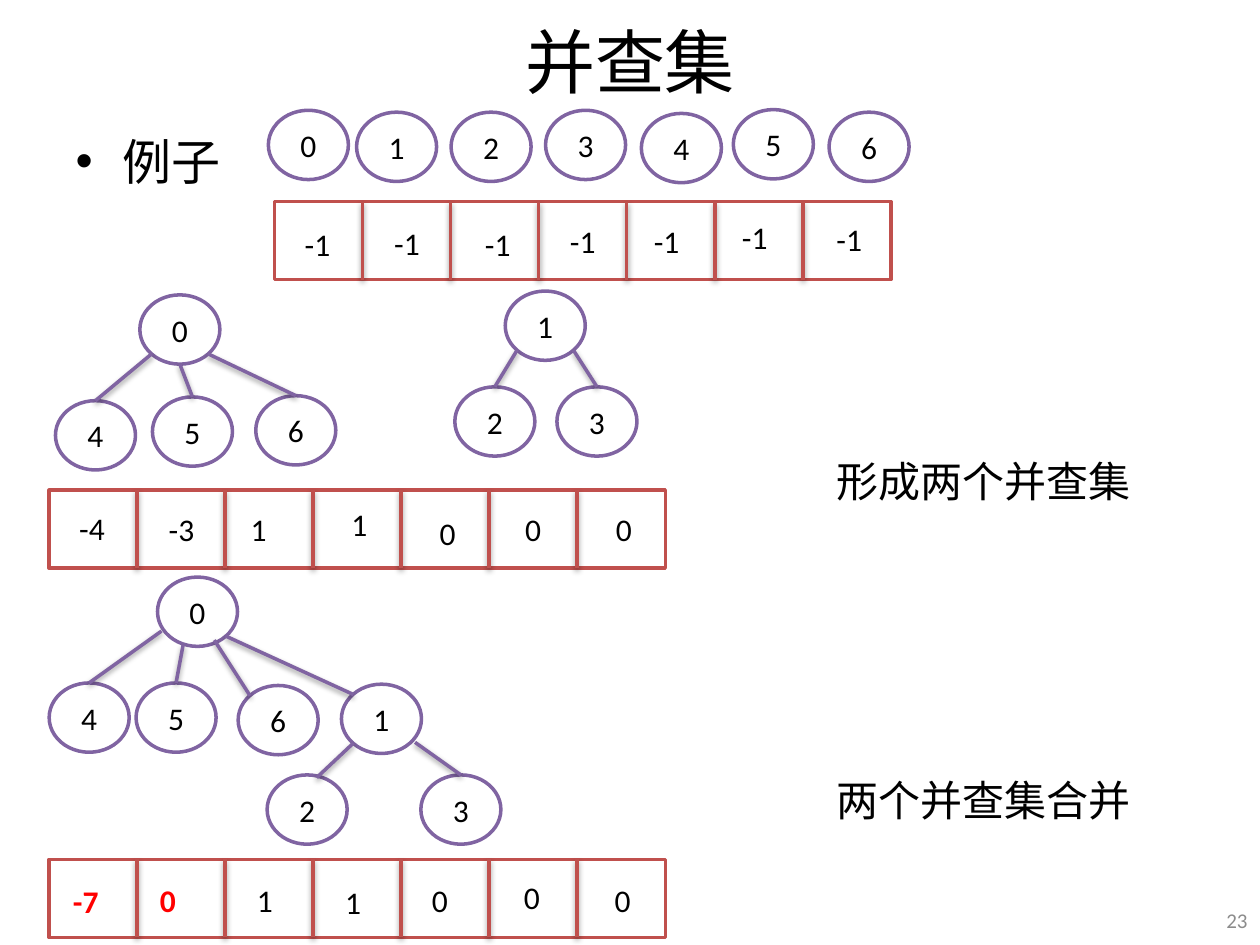
from pptx import Presentation
from pptx.dml.color import RGBColor
from pptx.enum.shapes import MSO_CONNECTOR, MSO_SHAPE
from pptx.enum.text import MSO_ANCHOR, PP_ALIGN
from pptx.util import Inches, Pt

OVAL, RECT = MSO_SHAPE.OVAL, MSO_SHAPE.RECTANGLE
STRAIGHT = MSO_CONNECTOR.STRAIGHT
MIDDLE = MSO_ANCHOR.MIDDLE
LEFT, CENTER, RIGHT = PP_ALIGN.LEFT, PP_ALIGN.CENTER, PP_ALIGN.RIGHT

COLORS = {"text": "000000", "node": "8064A2", "array": "C0504D",
          "paper": "FFFFFF", "changed": "FF0000", "number": "8C8C8C"}
FONT = "Calibri"

# The slide is a grid of 100 columns by 75 rows
COLUMNS, ROWS = 100, 75
NODE_W, NODE_H = 6.35, 5.5
ARRAY_W, ARRAY_H, CELLS = 48.9, 6.2, 7

# Spots on a node, as shares of its width and height
TOP, BOTTOM = (0.5, 0), (0.5, 1)
UPPER_LEFT, LOWER_LEFT, LOWER_RIGHT = (0.15, 0.15), (0.15, 0.85), (0.85, 0.85)


class ForestSlide:
    def __init__(self, prs):
        self.slide = prs.slides.add_slide(prs.slide_layouts[1])
        self.column = prs.slide_width / COLUMNS
        self.row = prs.slide_height / ROWS

    def place(self, x, y):
        return round(x * self.column), round(y * self.row)

    def box(self, x, y, w, h):
        return *self.place(x, y), *self.place(w, h)

    def set_text(self, shape, text, size=18, color="text", align=LEFT, bold=None):
        paragraph = shape.text_frame.paragraphs[0]
        paragraph.text = text
        paragraph.alignment = align
        font = paragraph.runs[0].font
        font.name, font.size, font.bold = FONT, Pt(size), bold
        font.color.rgb = RGBColor.from_string(COLORS[color])

    def placeholder(self, index, text, area, size, align):
        holder = self.slide.placeholders[index]
        holder.left, holder.top, holder.width, holder.height = self.box(*area)
        self.set_text(holder, text, size, align=align)

    def label(self, text, area, wrap=False, **style):
        label = self.slide.shapes.add_textbox(*self.box(*area))
        label.text_frame.word_wrap = wrap
        self.set_text(label, text, **style)
        return label

    def outline(self, kind, area, color, text):
        shape = self.slide.shapes.add_shape(kind, *self.box(*area))
        shape.shadow.inherit = False
        shape.fill.solid()
        shape.fill.fore_color.rgb = RGBColor.from_string(COLORS["paper"])
        shape.line.color.rgb = RGBColor.from_string(COLORS[color])
        shape.line.width = Pt(2)
        shape.text_frame.vertical_anchor = MIDDLE
        if text:
            self.set_text(shape, text, align=CENTER)
        return shape

    def line(self, start, end, color):
        # Lines keep the soft shadow of the theme
        line = self.slide.shapes.add_connector(
            STRAIGHT, *self.place(*start), *self.place(*end))
        line.line.color.rgb = RGBColor.from_string(COLORS[color])
        line.line.width = Pt(2)
        return line

    def forest(self, nodes, edges=()):
        """nodes: {name: (x, y)}; edges: (parent, spot, child, spot)."""
        ovals = {name: self.outline(OVAL, (*at, NODE_W, NODE_H), "node", name)
                 for name, at in nodes.items()}

        def spot_on(name, spot):
            x, y = nodes[name]
            return x + spot[0] * NODE_W, y + spot[1] * NODE_H

        for parent, leaving, child, arriving in edges:
            edge = self.line(spot_on(parent, leaving), spot_on(child, arriving), "node")
            if arriving == TOP:
                edge.end_connect(ovals[child], 0)

    def array(self, x, y, values, middle="", changed=0):
        """values: (text, x offset, y offset); the first `changed` are marked."""
        self.outline(RECT, (x, y, ARRAY_W, ARRAY_H), "array", middle)
        for cell in range(1, CELLS):
            edge = x + cell * ARRAY_W / CELLS
            self.line((edge, y), (edge, y + ARRAY_H), "array")
        for index, (text, dx, dy) in enumerate(values):
            style = {"color": "changed", "bold": True} if index < changed else {}
            self.label(text, (x + dx, y + dy, 2.5 + 0.8 * len(text), 4), **style)


def main():
    prs = Presentation()
    prs.slide_width, prs.slide_height = Inches(10), Inches(7.5)
    page = ForestSlide(prs)

    # Heading and page number
    page.placeholder(0, "并查集", (5, -0.3, 90, 10.2), 40, CENTER)
    page.placeholder(1, "例子", (5, 9.9, 44.2, 63.8), 28, LEFT)
    number = page.label("23", (95.7, 71, 4.3, 4), wrap=True,
                        size=12, color="number", align=RIGHT)
    number.text_frame.vertical_anchor = MIDDLE

    # Seven separate nodes
    page.forest({"0": (21.3, 8.75), "1": (28.3, 8.9), "2": (35.8, 8.9),
                 "3": (43.3, 8.75), "4": (50.9, 9), "5": (58.2, 8.7),
                 "6": (65.8, 8.9)})
    page.array(21.8, 16, [("-1", 1.4, 1.4), ("-1", 8.5, 1.3), ("-1", 15.7, 1.4),
                          ("-1", 29.1, 1.1), ("-1", 36.1, 0.8), ("-1", 43.6, 1)],
               middle="-1")

    # Two sets
    page.forest({"0": (11.1, 23.4), "4": (4.4, 31.8), "5": (12.1, 31.5),
                 "6": (20.3, 31.4), "1": (40.1, 23.1), "2": (36.1, 30.7),
                 "3": (44.2, 30.7)},
                [("0", LOWER_LEFT, "4", TOP), ("0", BOTTOM, "5", TOP),
                 ("0", LOWER_RIGHT, "6", TOP), ("1", LOWER_LEFT, "2", TOP),
                 ("1", LOWER_RIGHT, "3", TOP)])
    page.array(3.9, 38.9, [("-4", 1.4, 1), ("-3", 8.5, 1.1), ("1", 15, 1.1),
                           ("1", 23, 0.7), ("0", 30, 1.4), ("0", 36.8, 1.1),
                           ("0", 44, 1.1)])
    page.label("形成两个并查集", (65.4, 35.7, 25.6, 5), size=24)

    # The sets joined
    page.forest({"0": (12.5, 45.8), "4": (3.9, 54.2), "5": (10.8, 54.2),
                 "6": (18.9, 54.4), "1": (27.1, 54.3), "2": (21.2, 61.5),
                 "3": (33.4, 61.5)},
                [("0", (0.05, 0.78), "4", TOP), ("0", (0.32, 0.98), "5", TOP),
                 ("0", (0.71, 0.91), "6", UPPER_LEFT),
                 ("0", LOWER_RIGHT, "1", UPPER_LEFT),
                 ("1", LOWER_LEFT, "2", (0.62, 0.04)),
                 ("1", (0.92, 0.84), "3", TOP)])
    page.array(3.9, 68.2, [("-7", 0.9, 1.3), ("0", 7.8, 1.2), ("1", 15.5, 1.2),
                           ("1", 22.5, 1.4), ("0", 29.4, 1.2), ("0", 36.7, 1),
                           ("0", 43.9, 1.2)], changed=2)
    page.label("两个并查集合并", (65.4, 61, 25.6, 5), size=24)

    prs.save("out.pptx")


if __name__ == "__main__":
    main()
